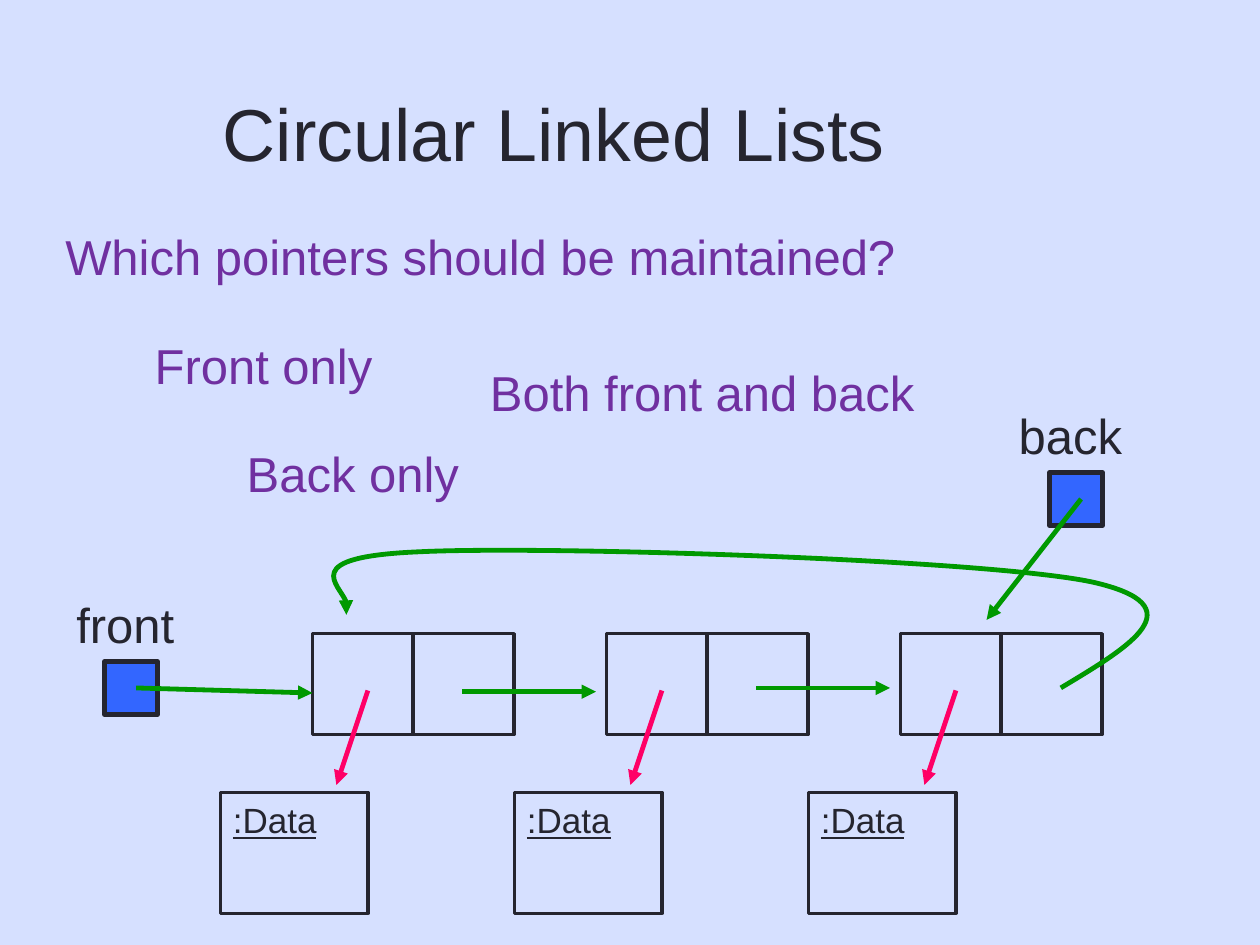
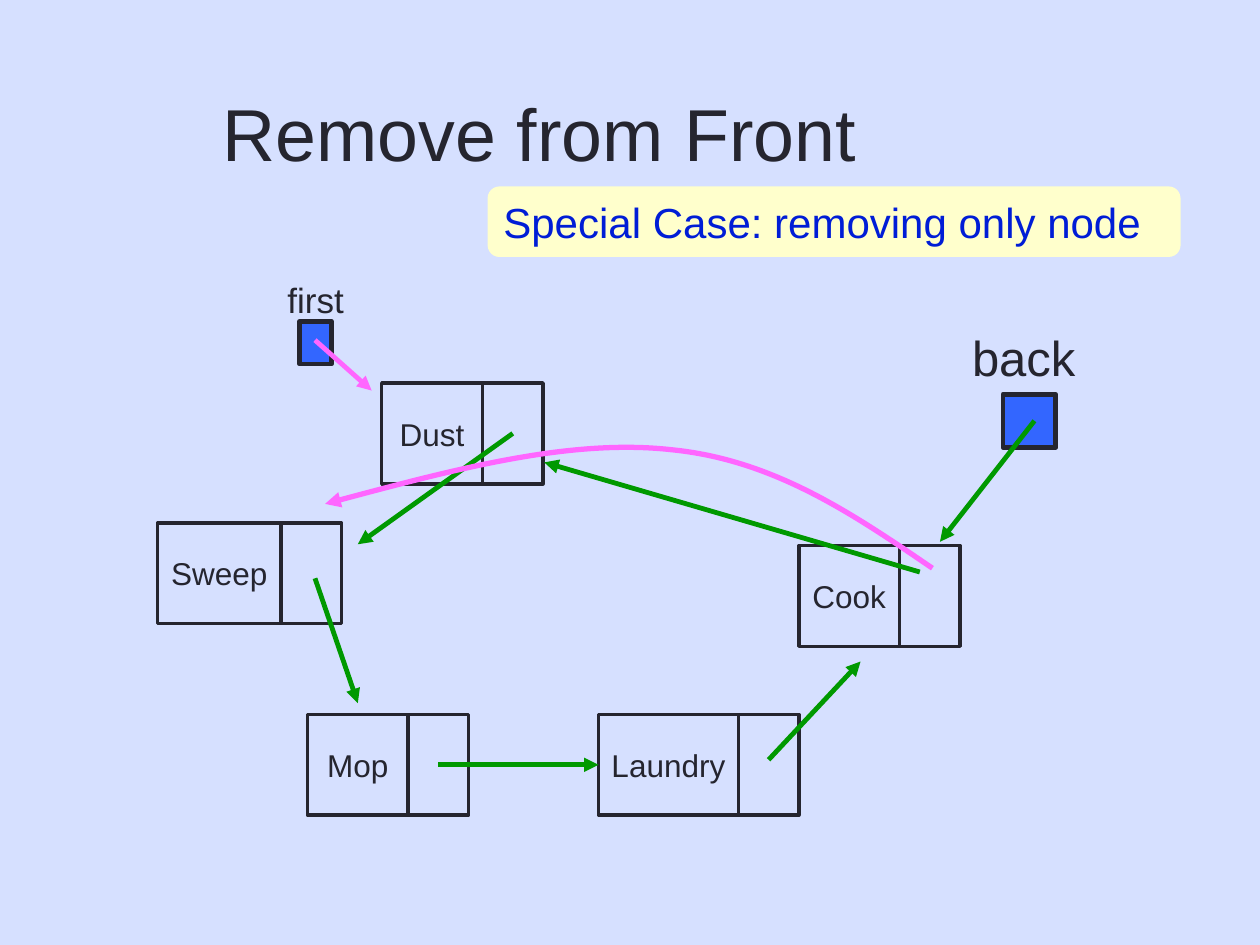
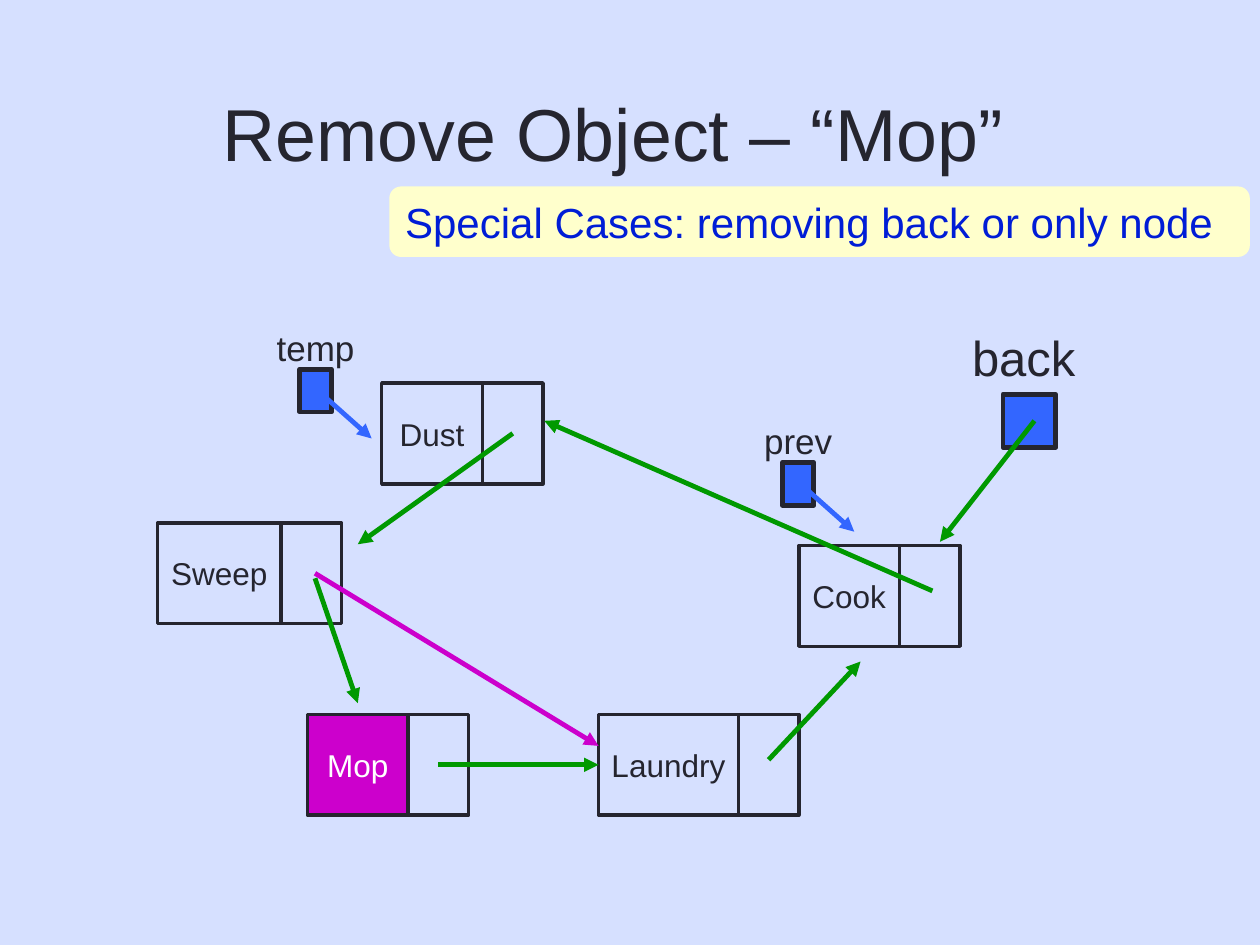
from lxml.etree import SubElement
from pptx import Presentation
from pptx.dml.color import RGBColor
from pptx.enum.shapes import MSO_CONNECTOR, MSO_SHAPE
from pptx.enum.text import MSO_ANCHOR, PP_ALIGN
from pptx.oxml.ns import qn
from pptx.util import Inches, Pt

# Shared look
FONT = "Arial"
BACKGROUND = RGBColor(0xD6, 0xE0, 0xFF)
INK = RGBColor(0x25, 0x25, 0x2F)
WHITE = RGBColor(0xFF, 0xFF, 0xFF)
PURPLE = RGBColor(0x70, 0x30, 0xA0)
BLUE = RGBColor(0x33, 0x66, 0xFF)
GREEN = RGBColor(0x00, 0x99, 0x00)
RED = RGBColor(0xFF, 0x00, 0x66)
PINK = RGBColor(0xFF, 0x66, 0xFF)
MAGENTA = RGBColor(0xCC, 0x00, 0xCC)
NOTE_FILL = RGBColor(0xFF, 0xFF, 0xCC)
NOTE_TEXT = RGBColor(0x00, 0x1D, 0xD6)

CELL = 0.8        # side of a data cell, height of every node
NEXT_CELL = 0.48  # width of the cell for the next pointer
ARROW_WIDTH = 2.75

# Chore nodes: left, top, width of the label cell
CHORES = {
    "Dust": (3.03, 3.04, CELL),
    "Sweep": (1.25, 4.15, 0.98),
    "Mop": (2.44, 5.67, CELL),
    "Laundry": (4.75, 5.67, 1.11),
    "Cook": (6.34, 4.33, CELL),
}


# Text
def write(sp, text, size=28, color=INK, align=PP_ALIGN.LEFT,
          anchor=MSO_ANCHOR.TOP, underline=None, wrap=True):
    tf = sp.text_frame
    tf.word_wrap = wrap
    tf.vertical_anchor = anchor
    p = tf.paragraphs[0]
    p.alignment = align
    r = p.add_run()
    r.text = text
    r.font.name = FONT
    r.font.size = Pt(size)
    r.font.color.rgb = color
    r.font.underline = underline


def add_text(s, x, y, w, h, text, **fmt):
    box = s.shapes.add_textbox(Inches(x), Inches(y), Inches(w), Inches(h))
    write(box, text, **fmt)


# Boxes
def add_box(s, x, y, w, h, fill=None, line=INK, line_width=2,
            kind=MSO_SHAPE.RECTANGLE):
    sp = s.shapes.add_shape(kind, Inches(x), Inches(y), Inches(w), Inches(h))
    sp.shadow.inherit = False
    if fill is None:
        sp.fill.background()
    else:
        sp.fill.solid()
        sp.fill.fore_color.rgb = fill
    if line is None:
        sp.line.fill.background()
    else:
        sp.line.color.rgb = line
        sp.line.width = Pt(line_width)
    return sp


def add_note(s, x, w, text):
    sp = add_box(s, x, 1.48, w, 0.56, fill=NOTE_FILL, line=None,
                 kind=MSO_SHAPE.ROUNDED_RECTANGLE)
    write(sp, text, size=24, color=NOTE_TEXT)


def add_node(s, x, y, width=CELL, next_width=NEXT_CELL, label=None,
             fill=None, color=INK):
    """Draw a data cell with its next cell and return the data cell."""
    cell = add_box(s, x, y, width, CELL, fill=fill)
    if label:
        write(cell, label, size=18, color=color, align=PP_ALIGN.CENTER,
              anchor=MSO_ANCHOR.MIDDLE, wrap=False)
    add_box(s, x + width, y, next_width, CELL)
    return cell


# Arrows
def style_arrow(sp, color, width):
    sp.line.color.rgb = color
    sp.line.width = Pt(width)
    sp_pr = sp.element.spPr
    SubElement(sp_pr.find(qn("a:ln")), qn("a:tailEnd"), type="triangle")
    if sp_pr.find(qn("a:effectLst")) is None:
        SubElement(sp_pr, qn("a:effectLst"))


def add_arrow(s, start, end, color=GREEN):
    c = s.shapes.add_connector(MSO_CONNECTOR.STRAIGHT,
                               *map(Inches, start + end))
    style_arrow(c, color, ARROW_WIDTH)
    return c


def add_curve(s, points, color, width=ARROW_WIDTH):
    """Curved arrow: a start point, then three Bézier points per segment."""
    points = [(Inches(x), Inches(y)) for x, y in points]
    builder = s.shapes.build_freeform(*points[0])
    builder.add_line_segments(points[1:], close=False)
    sp = builder.convert_to_shape()
    sp.shadow.inherit = False
    sp.fill.background()
    path = next(sp.element.iter(qn("a:path")))
    lines = path.findall(qn("a:lnTo"))
    for i in range(0, len(lines), 3):
        curve = SubElement(path, qn("a:cubicBezTo"))
        for line in lines[i:i + 3]:
            curve.append(line[0])
            path.remove(line)
    style_arrow(sp, color, width)


# Named pointers
def add_pointer(s, x, y, label, tip):
    add_text(s, x - 0.42, y - 0.58, 1.17, 0.57, label, align=PP_ALIGN.CENTER)
    add_box(s, x, y, 0.42, 0.42, fill=BLUE, line_width=ARROW_WIDTH)
    add_arrow(s, (x + 0.25, y + 0.21), tip)


def add_small_pointer(s, x, y, label, color):
    add_text(s, x - 0.46, y - 0.39, 1.17, 0.44, label, size=20,
             align=PP_ALIGN.CENTER)
    add_box(s, x, y, 0.25, 0.34, fill=BLUE, line_width=ARROW_WIDTH)
    add_arrow(s, (x + 0.12, y + 0.15), (x + 0.57, y + 0.55), color)


# Slides
def add_slide(prs, title):
    s = prs.slides.add_slide(prs.slide_layouts[6])
    add_text(s, 1.67, 0.21, 7.67, 1.67, title, size=42,
             anchor=MSO_ANCHOR.MIDDLE)
    return s


def add_chore_list(s, removed=None):
    """Draw the circular list of chores, except the link from Cook to Dust."""
    cells = {}
    for name, (x, y, width) in CHORES.items():
        marked = name == removed
        cells[name] = add_node(s, x, y, width, label=name,
                               fill=MAGENTA if marked else None,
                               color=WHITE if marked else INK)
    add_arrow(s, (4.07, 3.44), (2.84, 4.32))
    add_arrow(s, (2.5, 4.59), (2.84, 5.58))
    mop_link = add_arrow(s, (3.48, 6.07), (4.75, 6.07))
    mop_link.end_connect(cells["Laundry"], 1)
    add_arrow(s, (6.1, 6.03), (6.83, 5.25))
    add_pointer(s, 7.96, 3.13, "back", (7.46, 4.3))


def circular_lists(prs):
    s = add_slide(prs, "Circular Linked Lists")
    top = 5.03
    lefts = [2.48 + i * 7 / 3 for i in range(3)]
    for x in lefts:
        add_node(s, x, top, next_width=CELL)
        data = add_box(s, x - 0.73, 6.29, 1.17, 0.96)
        write(data, ":Data", size=20, underline=True)
        add_arrow(s, (x + 0.44, 5.48), (x + 0.19, 6.23), RED)
    for x, y in zip(lefts, (5.49, 5.46)):
        add_arrow(s, (x + 1.19, y), (x + 2.25, y))
    add_curve(s, [(8.42, 5.46),
                  (8.97, 5.13), (9.51, 4.81), (8.67, 4.62),
                  (7.82, 4.44), (4.32, 4.33), (3.33, 4.38),
                  (2.35, 4.42), (2.85, 4.79), (2.75, 4.88)], GREEN)
    add_pointer(s, 8.33, 3.75, "back", (7.83, 4.92))
    add_pointer(s, 0.83, 5.25, "front", (2.48, 5.5))
    for x, y, w, text in (
            (0.42, 1.75, 6.81, "Which pointers should be maintained?"),
            (1.13, 2.61, 1.93, "Front only"),
            (3.79, 2.83, 3.58, "Both front and back"),
            (1.86, 3.47, 1.89, "Back only")):
        add_text(s, x, y, w, 0.57, text, color=PURPLE, wrap=False)


def remove_from_front(prs):
    s = add_slide(prs, "Remove from Front")
    add_chore_list(s)
    add_small_pointer(s, 2.38, 2.55, "first", PINK)
    add_arrow(s, (7.3, 4.54), (4.32, 3.67))
    add_curve(s, [(7.4, 4.51),
                  (6.77, 4.08), (6.14, 3.65), (5.33, 3.57),
                  (4.53, 3.48), (3.55, 3.74), (2.58, 4)], PINK, width=3)
    add_note(s, 3.87, 5.5, "Special Case: removing only node")


def remove_object(prs):
    s = add_slide(prs, "Remove Object – “Mop”")
    add_chore_list(s, removed="Mop")
    add_arrow(s, (7.4, 4.69), (4.32, 3.34))
    add_small_pointer(s, 2.38, 2.93, "temp", BLUE)
    add_arrow(s, (2.5, 4.55), (4.75, 5.92), MAGENTA)
    add_small_pointer(s, 6.21, 3.67, "prev", BLUE)
    add_note(s, 3.09, 6.83, "Special Cases: removing back or only node")


def main():
    prs = Presentation()
    prs.slide_width = Inches(10)
    prs.slide_height = Inches(7.5)
    fill = prs.slide_master.background.fill
    fill.solid()
    fill.fore_color.rgb = BACKGROUND
    circular_lists(prs)
    remove_from_front(prs)
    remove_object(prs)
    prs.save("out.pptx")


if __name__ == "__main__":
    main()
